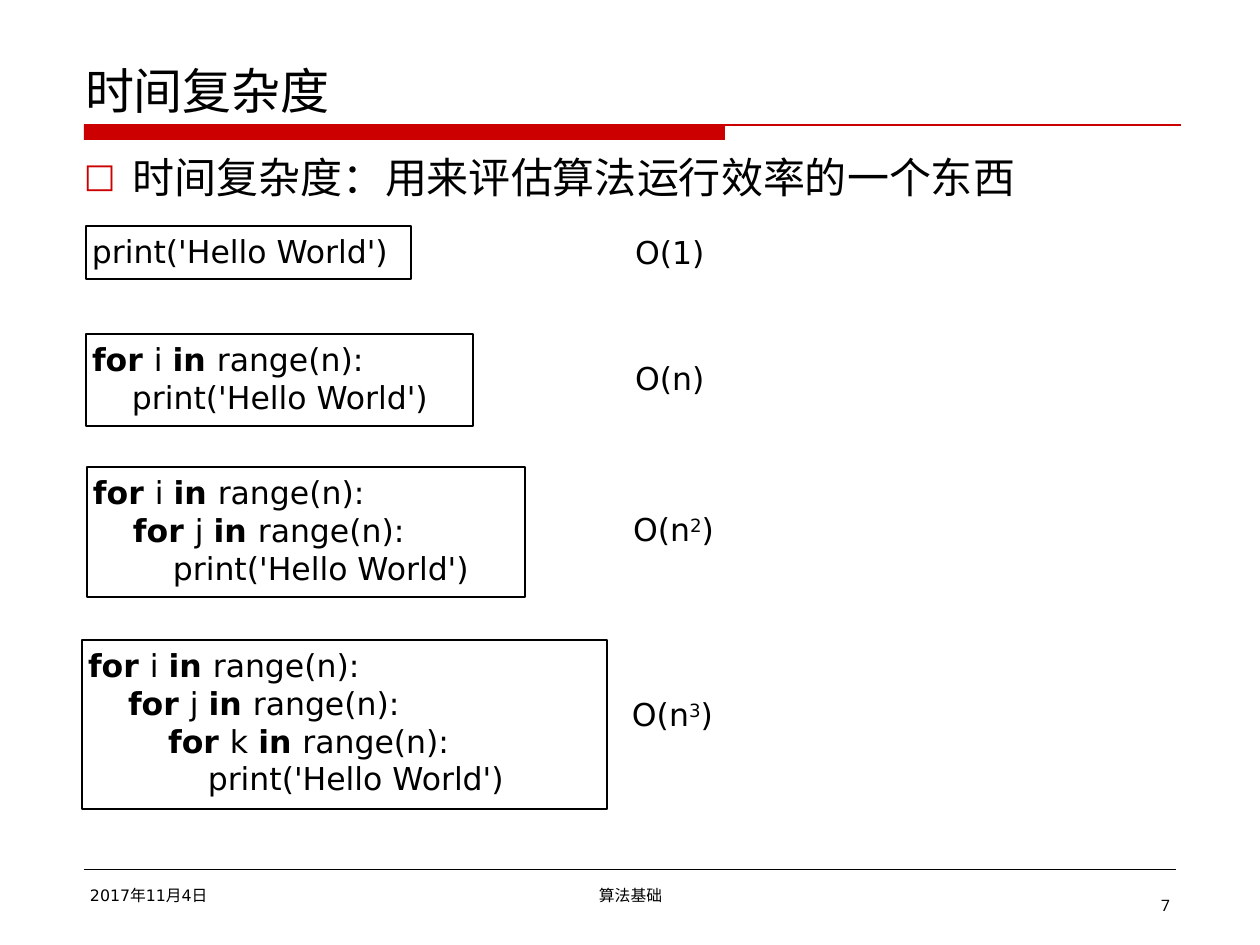
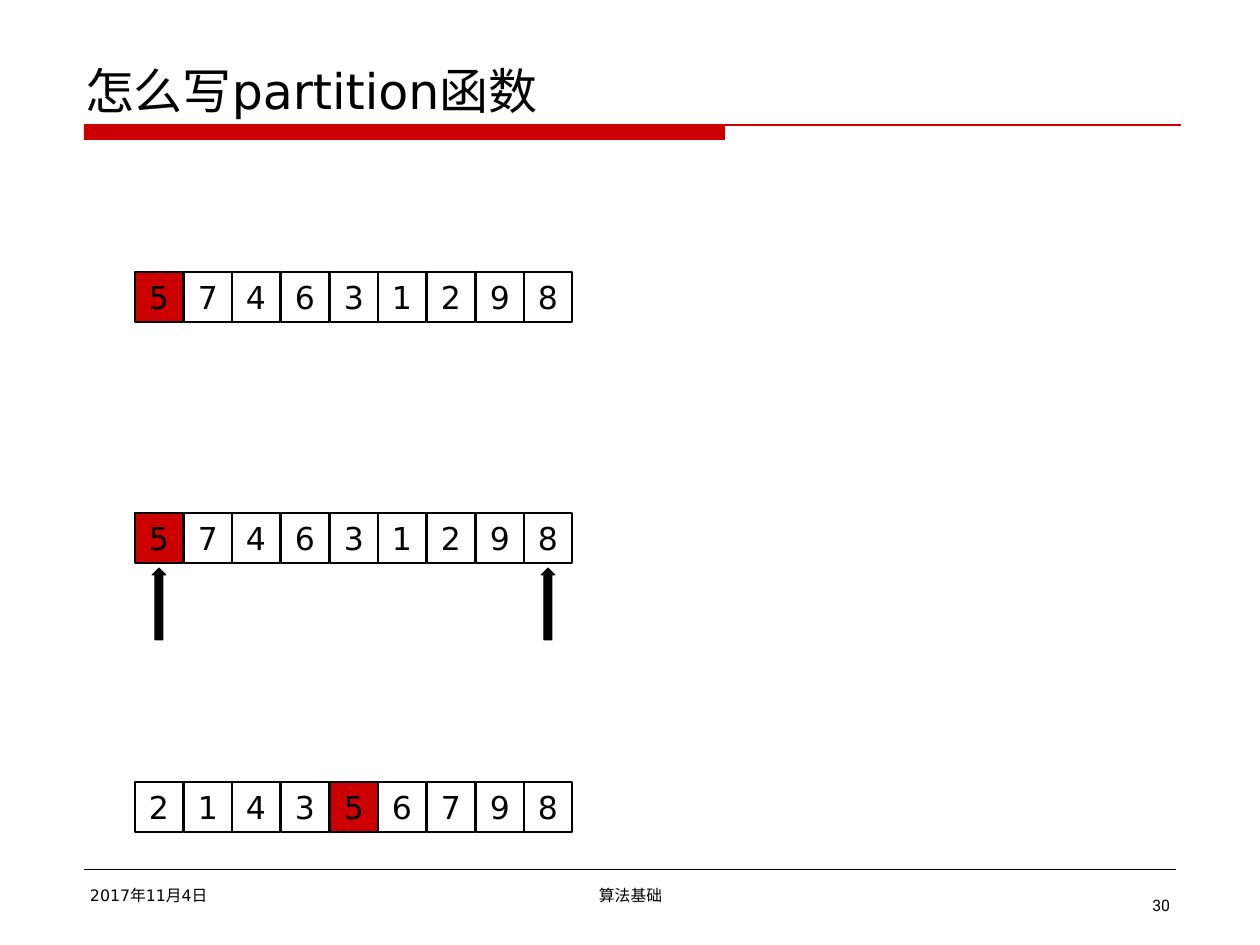
from dataclasses import dataclass
from itertools import groupby

from lxml import etree
from pptx import Presentation
from pptx.dml.color import RGBColor
from pptx.enum.shapes import MSO_CONNECTOR, MSO_SHAPE
from pptx.enum.text import MSO_ANCHOR, PP_ALIGN
from pptx.oxml.ns import qn
from pptx.util import Emu, Pt

RECTANGLE = MSO_SHAPE.RECTANGLE
STRAIGHT = MSO_CONNECTOR.STRAIGHT
LEFT, CENTER, RIGHT = PP_ALIGN.LEFT, PP_ALIGN.CENTER, PP_ALIGN.RIGHT
TOP, MIDDLE, BOTTOM = MSO_ANCHOR.TOP, MSO_ANCHOR.MIDDLE, MSO_ANCHOR.BOTTOM


@dataclass(frozen=True)
class Theme:
    accent: str = "CC0000"
    ink: str = "000000"
    paper: str = "FFFFFF"
    latin: str = "DejaVu Sans"
    chinese: str = "Noto Sans CJK SC"
    number: str = "Roboto"
    title: int = 28
    body: int = 24
    code: int = 18
    footer: int = 9


THEME = Theme()

# ---- content -------------------------------------------------------------
DATE = "2017年11月4日"
COURSE = "算法基础"

COMPLEXITY_TITLE = "时间复杂度"
DEFINITION = "时间复杂度：用来评估算法运行效率的一个东西"
KEYWORDS = ("for", "in")
# code, code box, cost with its exponent, cost position
SNIPPETS = [
    (["print('Hello World')"],
     (86, 226, 325, 53), ("O(1", "", ")"), (629, 227)),
    (["for i in range(n):",
      "    print('Hello World')"],
     (86, 334, 387, 92), ("O(n", "", ")"), (629, 353)),
    (["for i in range(n):",
      "    for j in range(n):",
      "        print('Hello World')"],
     (87, 467, 438, 130), ("O(n", "2", ")"), (627, 504)),
    (["for i in range(n):",
      "    for j in range(n):",
      "        for k in range(n):",
      "            print('Hello World')"],
     (82, 640, 525, 169), ("O(n", "3", ")"), (626, 689)),
]

PARTITION_TITLE = "怎么写partition函数"
PIVOT = 5
# values, top of the row, indexes of the cells with a pointer below
ARRAYS = [
    ([5, 7, 4, 6, 3, 1, 2, 9, 8], 272, []),
    ([5, 7, 4, 6, 3, 1, 2, 9, 8], 513, [0, 8]),
    ([2, 1, 4, 3, 5, 6, 7, 9, 8], 782, []),
]

# ---- layout, in px -------------------------------------------------------
PX = 914400 / 126
PAGE = (1260, 945)
INSET = 6
TITLE_BOX = (79, 42, 1103, 83)
TITLE_BAR = (84, 125, 641, 15)
TITLE_RULE = (84, 125, 1181)
FOOTER_RULE = (84, 869, 1176)
DATE_BOX = (84, 880, 273, 35)
COURSE_BOX = (431, 880, 399, 35)
NUMBER_BOX = (1142, 890, 34, 32)
BODY_BOX = (78, 145, 1103, 684)
BULLET_INDENT = 49
COST_SIZE = (130, 52)
ROW_LEFT, ROW_WIDTH = 135, 438
CELL_WIDTH, CELL_HEIGHT = 48, 50
POINTER_GAP, POINTER_HEIGHT, POINTER_TIP = 5, 72, 7
POINTER_HALF, STEM_HALF = 7, 4


def px(length):
    return Emu(round(length * PX))


def color(code):
    return RGBColor.from_string(code)


def paint(shape, fill, line=None, weight=1):
    shape.shadow.inherit = False
    shape.fill.solid()
    shape.fill.fore_color.rgb = color(fill)
    if line:
        shape.line.color.rgb = color(line)
        shape.line.width = Pt(weight)
    else:
        shape.line.fill.background()


def add_span(para, text, size, font, bold=False, raised=False):
    span = para.add_run()
    span.text = text
    span.font.size = Pt(size)
    span.font.bold = bold
    span.font.color.rgb = color(THEME.ink)
    span.font.name = font
    properties = span.font._element
    etree.SubElement(properties, qn("a:ea")).set("typeface", font)
    if raised:
        properties.set("baseline", "30000")


def add_mixed(para, text, size):
    """Add one run per stretch of Chinese or Latin letters."""
    for is_chinese, letters in groupby(text, lambda letter: ord(letter) > 0x2E7F):
        add_span(para, "".join(letters), size,
                 THEME.chinese if is_chinese else THEME.latin)


def prepare_text(box, align=LEFT, anchor=TOP):
    """Set the frame of a box and return its first paragraph."""
    frame = box.text_frame
    frame.word_wrap = True
    frame.vertical_anchor = anchor
    frame.margin_left = frame.margin_right = px(INSET)
    frame.margin_top = frame.margin_bottom = px(INSET)
    para = frame.paragraphs[0]
    para.alignment = align
    return para


def add_text_box(page, place, align=LEFT, anchor=TOP):
    box = page.shapes.add_textbox(*map(px, place))
    return prepare_text(box, align, anchor)


def add_rectangle(page, place, fill, line=None):
    box = page.shapes.add_shape(RECTANGLE, *map(px, place))
    paint(box, fill, line)
    return box


def add_rule(page, place, line, weight):
    left, top, right = map(px, place)
    rule = page.shapes.add_connector(STRAIGHT, left, top, right, top)
    rule.line.color.rgb = color(line)
    rule.line.width = Pt(weight)
    etree.SubElement(rule._element.spPr, qn("a:effectLst"))


def add_page(deck, title, number):
    """Add a page with the title, red band and footer that all pages share."""
    page = deck.slides.add_slide(deck.slide_layouts[6])
    add_rectangle(page, TITLE_BAR, THEME.accent)
    add_rule(page, TITLE_RULE, THEME.accent, 0.75)
    add_rule(page, FOOTER_RULE, THEME.ink, 0.25)
    add_mixed(add_text_box(page, TITLE_BOX, anchor=BOTTOM), title, THEME.title)
    add_mixed(add_text_box(page, DATE_BOX), DATE, THEME.footer)
    add_mixed(add_text_box(page, COURSE_BOX, CENTER), COURSE, THEME.footer)
    add_span(add_text_box(page, NUMBER_BOX, RIGHT), str(number),
             THEME.footer, THEME.number)
    return page


def add_bullet(para):
    properties = para._p.get_or_add_pPr()
    properties.set("marL", str(px(BULLET_INDENT)))
    properties.set("indent", str(-px(BULLET_INDENT)))
    tint = etree.SubElement(properties, qn("a:buClr"))
    etree.SubElement(tint, qn("a:srgbClr")).set("val", THEME.accent)
    etree.SubElement(properties, qn("a:buSzPct")).set("val", "80000")
    etree.SubElement(properties, qn("a:buFont")).set("typeface", THEME.latin)
    etree.SubElement(properties, qn("a:buChar")).set("char", "□")


def add_code(para, lines):
    for index, line in enumerate(lines):
        if index:
            para.add_line_break()
        code = line.lstrip()
        indent = line[:len(line) - len(code)]
        if indent:
            add_span(para, indent, THEME.code, THEME.latin)
        if not code.startswith(KEYWORDS):
            add_span(para, code, THEME.code, THEME.latin)
            continue
        words = code.split()
        for word in words:
            text = word if word is words[-1] else word + " "
            add_span(para, text, THEME.code, THEME.latin, bold=word in KEYWORDS)


def add_cost(page, place, cost):
    para = add_text_box(page, place + COST_SIZE)
    base, exponent, closing = cost
    if exponent:
        add_span(para, base, THEME.code, THEME.latin)
        add_span(para, exponent, THEME.code, THEME.latin, raised=True)
        add_span(para, closing, THEME.code, THEME.latin)
    else:
        add_span(para, base + closing, THEME.code, THEME.latin)


def add_pointer(page, center, top):
    """Draw an upward arrow whose tip is at (center, top)."""
    shoulder, bottom = top + POINTER_TIP, top + POINTER_HEIGHT
    right_side = [(POINTER_HALF, shoulder), (STEM_HALF, shoulder), (STEM_HALF, bottom)]
    left_side = [(-offset, y) for offset, y in reversed(right_side)]
    outline = [(px(center + offset), px(y)) for offset, y in right_side + left_side]
    builder = page.shapes.build_freeform(px(center), px(top))
    builder.add_line_segments(outline, close=True)
    paint(builder.convert_to_shape(), THEME.ink, THEME.ink, 0.5)


def add_array(page, values, top, pointers):
    for index, value in enumerate(values):
        left = ROW_LEFT + round(index * ROW_WIDTH / len(values))
        fill = THEME.accent if value == PIVOT else THEME.paper
        cell = add_rectangle(page, (left, top, CELL_WIDTH, CELL_HEIGHT),
                             fill, THEME.ink)
        add_span(prepare_text(cell, CENTER, MIDDLE), str(value),
                 THEME.code, THEME.latin)
        if index in pointers:
            add_pointer(page, left + CELL_WIDTH // 2, top + CELL_HEIGHT + POINTER_GAP)


def build_complexity(deck):
    page = add_page(deck, COMPLEXITY_TITLE, 7)
    definition = add_text_box(page, BODY_BOX)
    add_bullet(definition)
    add_mixed(definition, DEFINITION, THEME.body)
    for lines, code_place, cost, cost_place in SNIPPETS:
        box = add_rectangle(page, code_place, THEME.paper, THEME.ink)
        add_code(prepare_text(box), lines)
        add_cost(page, cost_place, cost)


def build_partition(deck):
    page = add_page(deck, PARTITION_TITLE, 30)
    for values, top, pointers in ARRAYS:
        add_array(page, values, top, pointers)


def main():
    deck = Presentation()
    deck.slide_width, deck.slide_height = map(px, PAGE)
    build_complexity(deck)
    build_partition(deck)
    deck.save("out.pptx")


if __name__ == "__main__":
    main()
